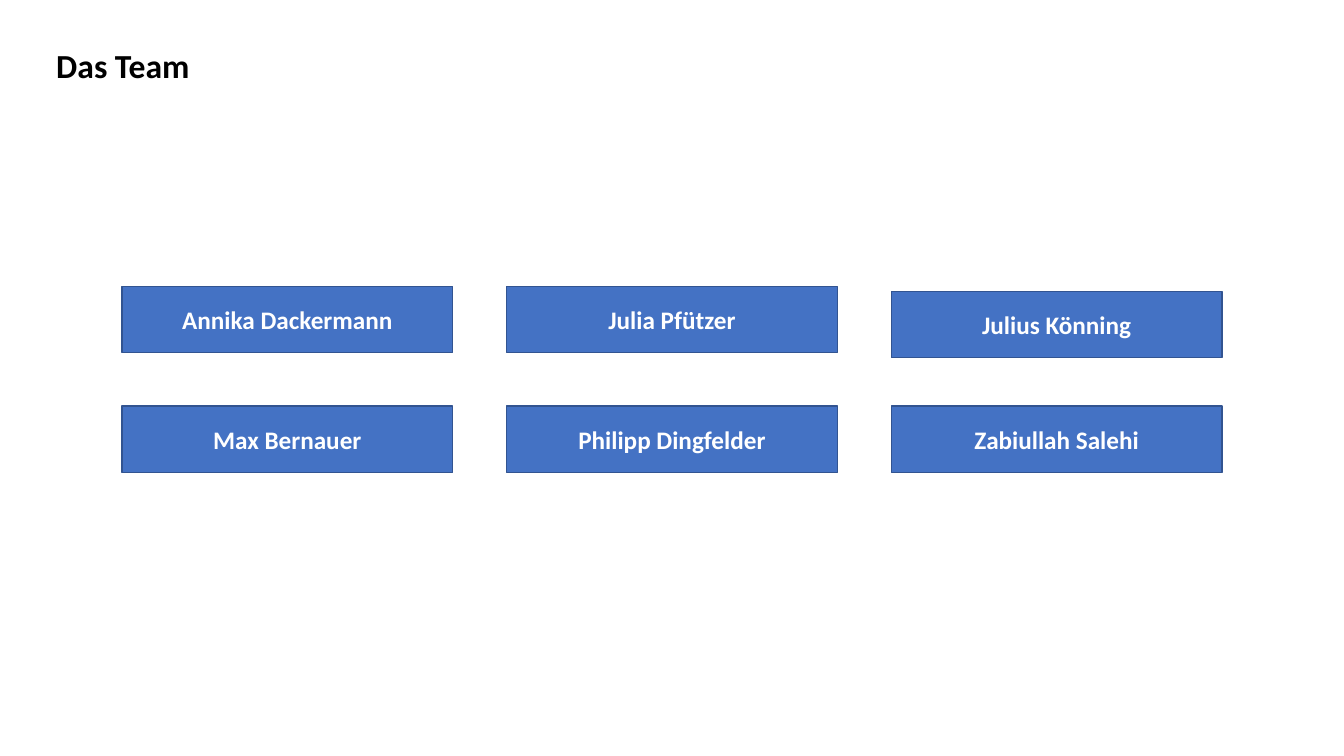
"""Build the team slide: a title above a grid of name boxes."""
from pptx import Presentation
from pptx.dml.color import RGBColor
from pptx.enum.shapes import MSO_SHAPE
from pptx.enum.text import MSO_ANCHOR, MSO_AUTO_SIZE, PP_ALIGN
from pptx.util import Inches, Pt

TITLE = "Das Team"
TEAM = [
    ["Annika\u00a0Dackermann", "Julia Pfützer", "Julius Könning"],
    ["Max Bernauer", "Philipp Dingfelder", "Zabiullah Salehi"],
]
LOWERED = {"Julius Könning": 0.05}

RECTANGLE = MSO_SHAPE.RECTANGLE
MIDDLE = MSO_ANCHOR.MIDDLE
CENTER = PP_ALIGN.CENTER
GROW = MSO_AUTO_SIZE.SHAPE_TO_FIT_TEXT
BLACK = RGBColor(0x00, 0x00, 0x00)
WHITE = RGBColor(0xFF, 0xFF, 0xFF)
BLUE = RGBColor(0x44, 0x72, 0xC4)
DARK_BLUE = RGBColor(0x32, 0x54, 0x91)

GRID_LEFT, GRID_TOP = 1.21, 2.84
COLUMN_STEP, ROW_STEP = 3.815, 1.19
BOX_WIDTH, BOX_HEIGHT = 3.28, 0.66


def write(box, text, size, color):
    box.text_frame.word_wrap = True
    para = box.text_frame.paragraphs[0]
    para.text = text
    para.font.name = "Calibri"
    para.font.size = Pt(size)
    para.font.bold = True
    para.font.color.rgb = color
    return para


def add_member(page, name, row, column):
    left = GRID_LEFT + column * COLUMN_STEP
    top = GRID_TOP + row * ROW_STEP + LOWERED.get(name, 0)
    box = page.shapes.add_shape(
        RECTANGLE, Inches(left), Inches(top), Inches(BOX_WIDTH), Inches(BOX_HEIGHT)
    )
    box.shadow.inherit = False
    box.fill.solid()
    box.fill.fore_color.rgb = BLUE
    box.line.color.rgb = DARK_BLUE
    box.line.width = Pt(1)
    box.text_frame.vertical_anchor = MIDDLE
    write(box, name, 18, WHITE).alignment = CENTER


deck = Presentation()
deck.slide_width, deck.slide_height = Inches(13.33), Inches(7.5)
page = deck.slides.add_slide(deck.slide_layouts[6])

title = page.shapes.add_textbox(Inches(0.46), Inches(0.4), Inches(2.87), Inches(0.5))
write(title, TITLE, 24, BLACK)
title.text_frame.auto_size = GROW

for row, names in enumerate(TEAM):
    for column, name in enumerate(names):
        add_member(page, name, row, column)

deck.save("out.pptx")
